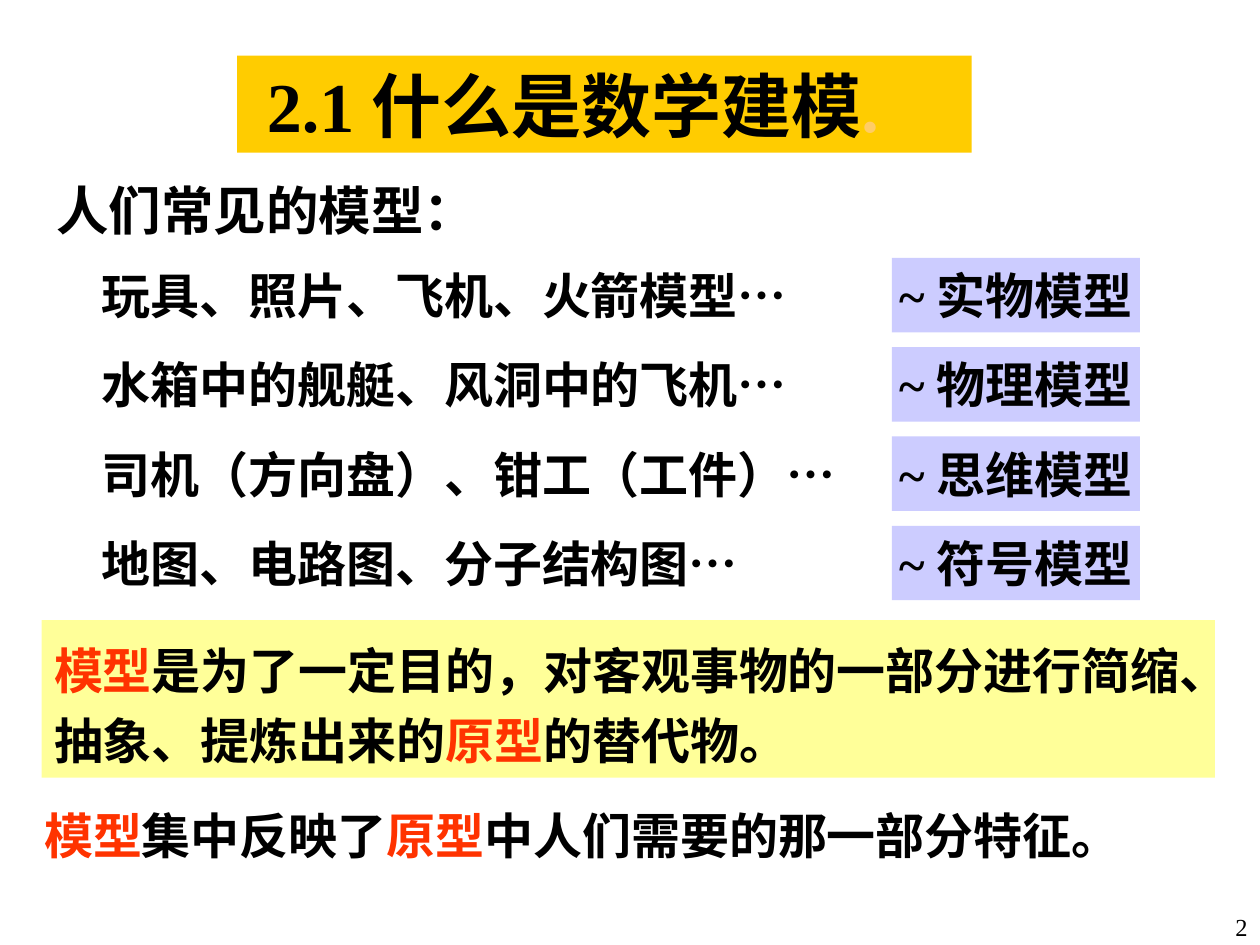
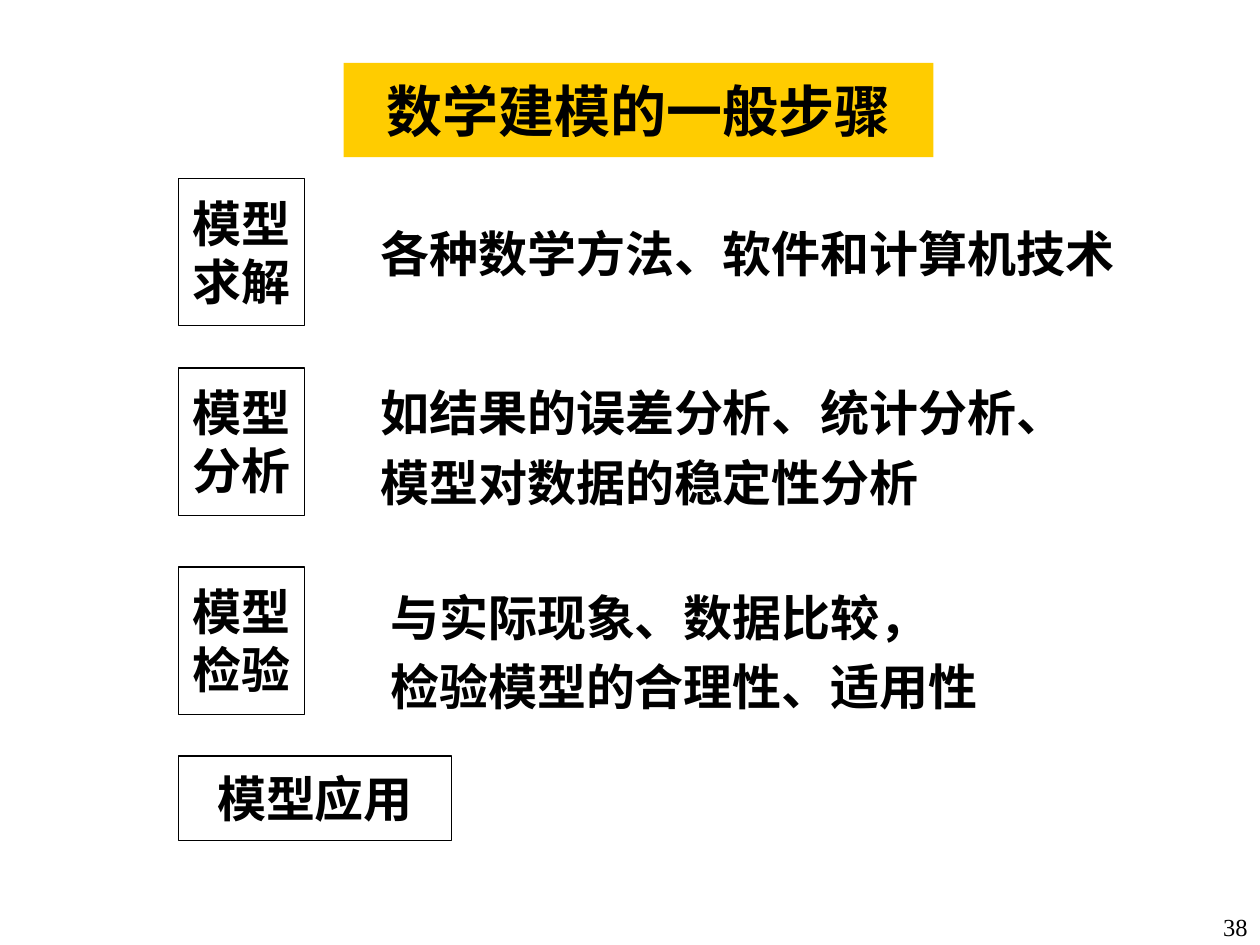
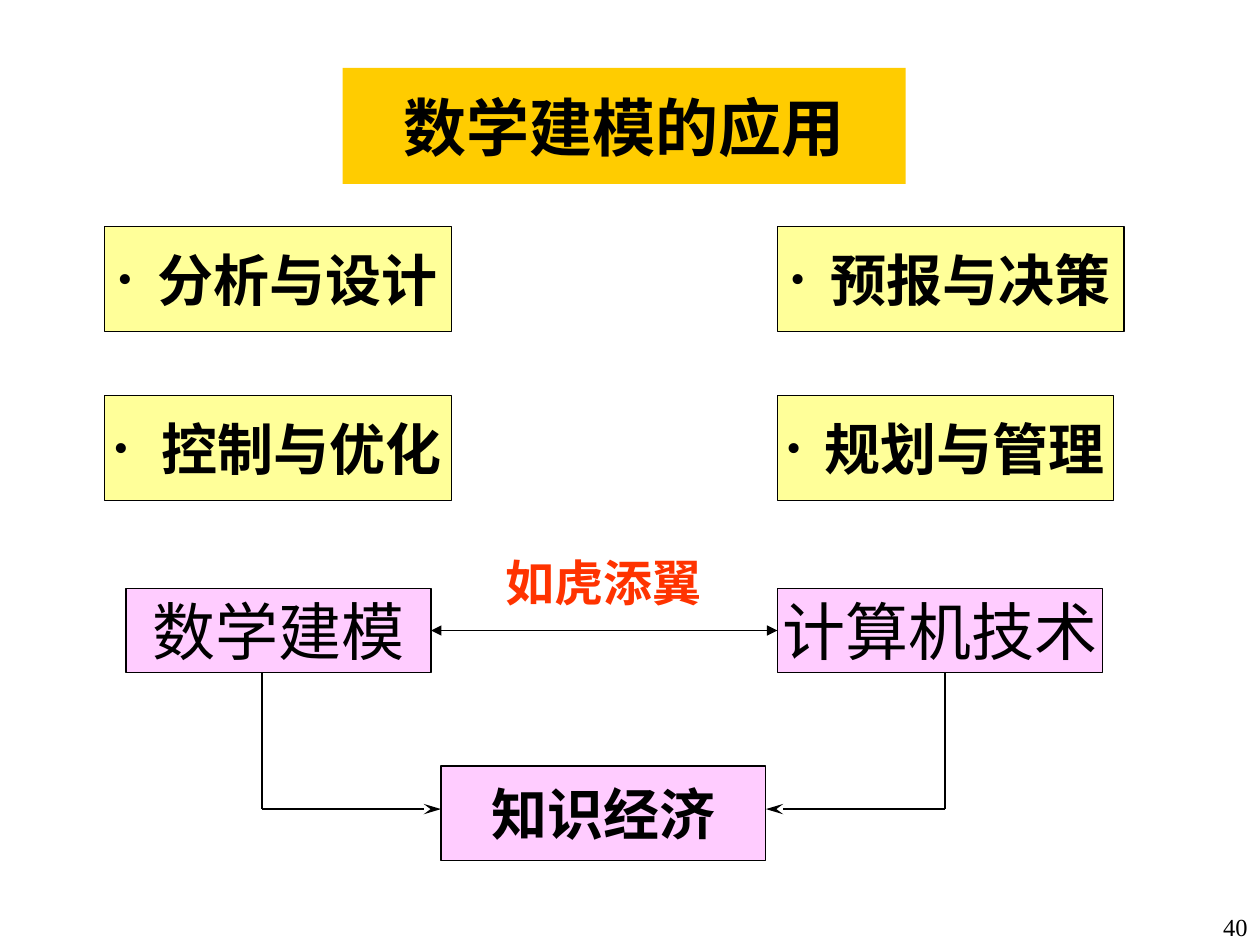
from pptx import Presentation
from pptx.dml.color import RGBColor
from pptx.enum.shapes import MSO_CONNECTOR, MSO_SHAPE
from pptx.enum.text import MSO_ANCHOR, PP_ALIGN
from pptx.oxml.ns import qn
from pptx.util import Cm, Pt
from lxml import etree

SERIF, SANS = "Times New Roman", "Noto Sans CJK SC"
BLACK, RED, PALE = "000000", "FF3300", "FFCC66"
GOLD, CREAM, LILAC, PINK = "FFCC00", "FFFF99", "CCCCFF", "FFCCFF"
LEFT, MID, RIGHT = PP_ALIGN.LEFT, PP_ALIGN.CENTER, PP_ALIGN.RIGHT
TIGHT, LOOSE = 33, 40  # line pitch in points

# A paragraph is a string or a list of (text, colour) runs.
KINDS = [
    ("玩具、照片、飞机、火箭模型…", "~ 实物模型"),
    ("水箱中的舰艇、风洞中的飞机…", "~ 物理模型"),
    ("司机（方向盘）、钳工（工件）…", "~ 思维模型"),
    ("地图、电路图、分子结构图…", "~ 符号模型"),
]
MEANING = [
    [("模型", RED), ("是为了一定目的，对客观事物的一部分进行简缩、", BLACK)],
    [("抽象、提炼出来的", BLACK), ("原型", RED), ("的替代物。", BLACK)],
]
FOCUS = [[("模型", RED), ("集中反映了", BLACK), ("原型", RED),
          ("中人们需要的那一部分特征。", BLACK)]]

# Step name, top of its box, note, place of the note
STEPS = [
    (["模型", "求解"], 3.6, ["各种数学方法、软件和计算机技术"],
     (7.42, 4.24, 16.5, 1.7)),
    (["模型", "分析"], 7.42, ["如结果的误差分析、统计分析、", "模型对数据的稳定性分析"],
     (7.42, 7.42, 15.24, 2.97)),
    (["模型", "检验"], 11.43, ["与实际现象、数据比较，", "检验模型的合理性、适用性"],
     (7.62, 11.43, 15.04, 3.18)),
]

# Use, left, top, width, gap after the bullet
USES = [
    ("分析与设计", 2.11, 4.57, 6.99, 0.81),
    ("预报与决策", 15.67, 4.57, 6.99, 0.81),
    ("控制与优化", 2.11, 7.98, 6.99, 0.97),
    ("规划与管理", 15.67, 7.98, 6.78, 0.76),
]


def rgb(code):
    return RGBColor.from_string(code)


def add_run(para, text, size, color, bold, font):
    """Add a run whose Chinese characters are always sans-serif."""
    run = para.add_run()
    run.text = text
    run.font.size, run.font.bold, run.font.name = Pt(size), bold, font
    run.font.color.rgb = rgb(color)
    east = etree.SubElement(run._r.get_or_add_rPr(), qn("a:ea"))
    east.set("typeface", SANS)


def write(shape, paras, size=28, color=BLACK, bold=True, font=SERIF,
          align=LEFT, pitch=None, anchor=MSO_ANCHOR.MIDDLE, wrap=False):
    frame = shape.text_frame
    frame.word_wrap, frame.vertical_anchor = wrap, anchor
    for num, runs in enumerate(paras):
        para = frame.add_paragraph() if num else frame.paragraphs[0]
        para.alignment = align
        if pitch:
            para.line_spacing = Pt(pitch)
        for text, tint in [(runs, color)] if isinstance(runs, str) else runs:
            add_run(para, text, size, tint, bold, font)


def add_text(slide, place, paras, **style):
    box = slide.shapes.add_textbox(*map(Cm, place))
    write(box, paras, **style)
    return box


def add_box(slide, place, paras, fill=None, edge=False, **style):
    box = slide.shapes.add_shape(MSO_SHAPE.RECTANGLE, *map(Cm, place))
    box.shadow.inherit = False
    if fill:
        box.fill.solid()
        box.fill.fore_color.rgb = rgb(fill)
    else:
        box.fill.background()
    if edge:
        box.line.color.rgb, box.line.width = rgb(BLACK), Pt(0.75)
    else:
        box.line.fill.background()
    write(box, paras, **{"align": MID, **style})
    return box


def add_line(slide, start, end, head=None, tail=None, reach="med"):
    line = slide.shapes.add_connector(
        MSO_CONNECTOR.STRAIGHT, *map(Cm, start + end))
    line.line.color.rgb, line.line.width = rgb(BLACK), Pt(0.75)
    stroke = line.line._get_or_add_ln()
    for tag, kind in (("a:headEnd", head), ("a:tailEnd", tail)):
        if kind:
            tip = etree.SubElement(stroke, qn(tag))
            tip.set("type", kind)
            tip.set("len", reach)
    etree.SubElement(line._element.spPr, qn("a:effectLst"))
    return line


def indent(box, left, bullet=False):
    """Indent the first paragraph, with a hanging bullet if asked."""
    props = box.text_frame.paragraphs[0]._p.get_or_add_pPr()
    props.set("marL", str(Cm(left)))
    if bullet:
        props.set("indent", str(-Cm(left)))
        color = etree.SubElement(props, qn("a:buClr"))
        etree.SubElement(color, qn("a:srgbClr")).set("val", BLACK)
        etree.SubElement(props, qn("a:buSzPct")).set("val", "75000")
        etree.SubElement(props, qn("a:buFont")).set("typeface", SERIF)
        etree.SubElement(props, qn("a:buChar")).set("char", "•")


def new_slide(deck, page, title, place, **style):
    """Add a slide with its page number and title band."""
    slide = deck.slides.add_slide(deck.slide_layouts[6])
    add_text(slide, (24.33, 18.26, 1.07, 0.79), [page], size=14, bold=False,
             align=RIGHT, anchor=MSO_ANCHOR.TOP, wrap=True)
    band = add_box(slide, place, [title], GOLD, **style)
    return slide, band


def show_kinds(deck):
    title = [("2.1 什么是数学建模", BLACK), (".", PALE)]
    slide, band = new_slide(deck, "2", title, (4.78, 1.12, 14.81, 1.96),
                            size=40, align=LEFT)
    indent(band, 0.35)
    add_text(slide, (0.89, 3.33, 8.61, 1.8), ["人们常见的模型："],
             size=30, font=SANS)
    for row, (items, kind) in enumerate(KINDS):
        top = 5.2 + 1.8 * row
        add_text(slide, (1.8, top, 16.1, 1.5), [items])
        add_box(slide, (17.98, top, 5, 1.5), [kind], LILAC)
    add_box(slide, (0.84, 12.5, 23.65, 3.18), MEANING, CREAM,
            align=LEFT, pitch=LOOSE)
    add_text(slide, (0.64, 15.88, 23.7, 1.9), FOCUS)


def show_steps(deck):
    slide, _ = new_slide(deck, "38", "数学建模的一般步骤",
                         (6.93, 1.27, 11.89, 1.9), size=32, font=SANS)
    for name, top, note, place in STEPS:
        add_box(slide, (3.6, top, 2.54, 2.97), name, edge=True, pitch=TIGHT)
        add_text(slide, place, note, pitch=LOOSE if len(note) > 1 else None)
    add_box(slide, (3.6, 15.24, 5.5, 1.7), ["模型应用"], edge=True)


def show_uses(deck):
    slide, _ = new_slide(deck, "40", "数学建模的应用",
                         (6.91, 1.37, 11.35, 2.34), size=36, font=SANS)
    for use, left, top, wide, gap in USES:
        box = add_box(slide, (left, top, wide, 2.11), [use], CREAM, True,
                      size=32)
        indent(box, gap, bullet=True)

    big = {"size": 36, "bold": False}
    model = add_box(slide, (2.54, 11.86, 6.15, 1.7), ["数学建模"], PINK, True,
                    **big)
    tech = add_box(slide, (15.67, 11.86, 6.55, 1.7), ["计算机技术"], PINK, True,
                   **big)
    add_box(slide, (8.89, 15.44, 6.55, 1.91), ["知识经济"], PINK, True, size=32)

    link = add_line(slide, (8.69, 12.71), (15.67, 12.71),
                    "triangle", "triangle")
    link.begin_connect(model, 3)
    link.end_connect(tech, 1)
    add_text(slide, (9.73, 11, 4.88, 1.47), ["如虎添翼"], color=RED, align=MID)
    for out, side in ((5.28, 8.89), (19.05, 15.44)):
        add_line(slide, (out, 13.56), (out, 16.31))
        add_line(slide, (out, 16.31), (side, 16.31), tail="stealth",
                 reach="lg")


def main():
    deck = Presentation()
    deck.slide_width, deck.slide_height = Cm(25.4), Cm(19.05)
    show_kinds(deck)
    show_steps(deck)
    show_uses(deck)
    deck.save("out.pptx")


if __name__ == "__main__":
    main()
